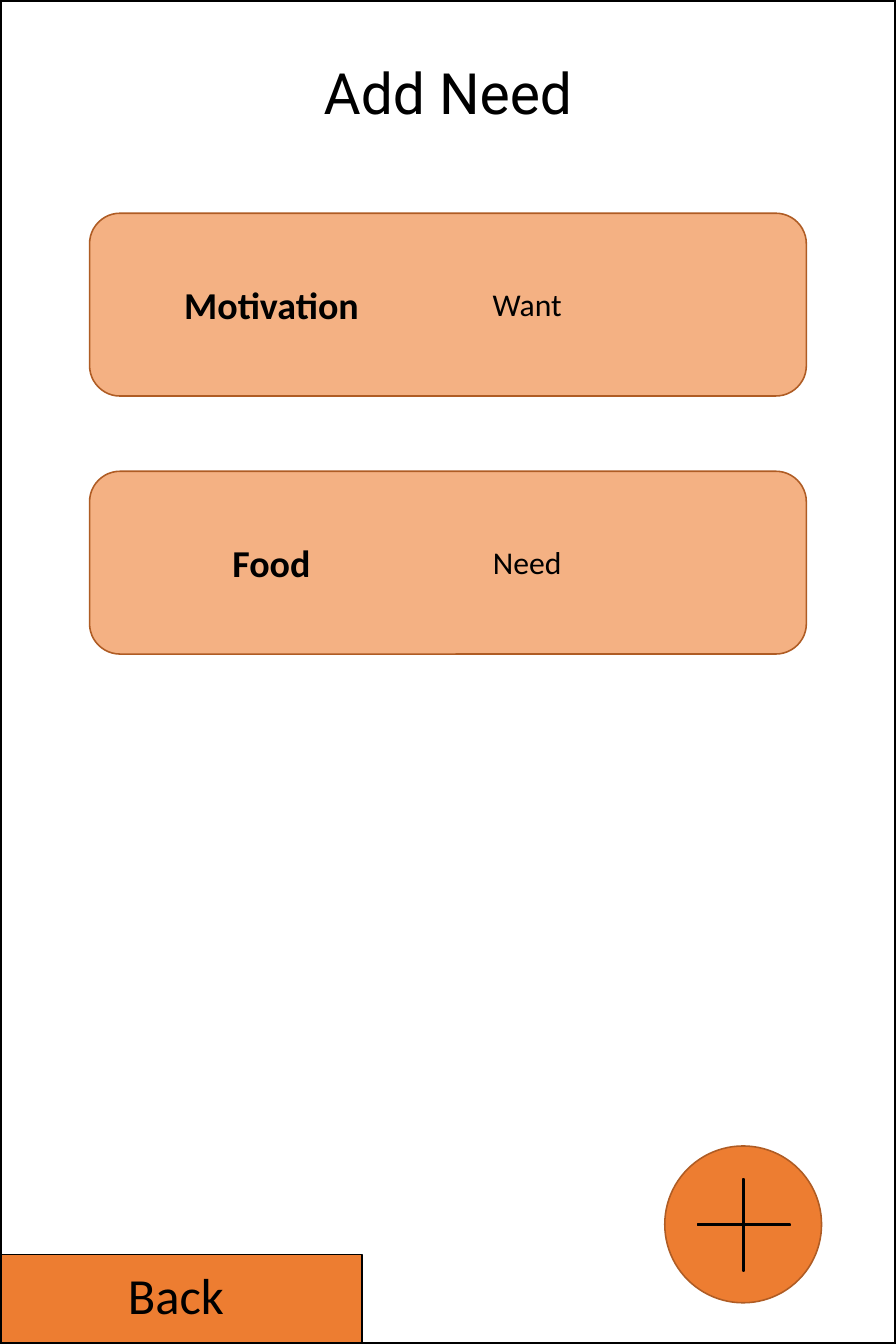
from pptx import Presentation
from pptx.dml.color import RGBColor
from pptx.enum.shapes import MSO_SHAPE
from pptx.enum.text import MSO_ANCHOR, MSO_AUTO_SIZE, PP_ALIGN
from pptx.util import Inches, Pt

WIDTH, HEIGHT = 7.87, 11.81
COLS, ROWS = 10, 15
COLORS = {
    "ink": "000000",
    "button": "ED7D31",
    "edge": "AF5C24",
    "card": "F4B183",
}


class Screen:
    """Style and current slide; every box is (column, row, columns, rows)."""

    def __init__(self, prs):
        self.s = prs.slides.add_slide(prs.slide_layouts[5])
        self.col = prs.slide_width / COLS
        self.row = prs.slide_height / ROWS

    def place(self, box):
        x, y, w, h = box
        return (round(x * self.col), round(y * self.row),
                round(w * self.col), round(h * self.row))

    def color(self, name):
        return RGBColor.from_string(COLORS[name])

    def add_text(self, tf, text, size, font="Calibri", bold=False):
        tf.word_wrap = True
        tf.auto_size = MSO_AUTO_SIZE.SHAPE_TO_FIT_TEXT
        p = tf.paragraphs[0]
        p.alignment = PP_ALIGN.CENTER
        r = p.add_run()
        r.text = text
        r.font.name = font
        r.font.size = Pt(size)
        r.font.bold = bold
        r.font.color.rgb = self.color("ink")
        return p

    def title(self, box, text):
        sp = self.s.shapes.title
        sp.left, sp.top, sp.width, sp.height = self.place(box)
        tf = sp.text_frame
        tf.vertical_anchor = MSO_ANCHOR.MIDDLE
        p = self.add_text(tf, text, 36, "Roboto")
        p.line_spacing = 0.9

    def label(self, box, text, size, bold=False):
        sp = self.s.shapes.add_textbox(*self.place(box))
        self.add_text(sp.text_frame, text, size, bold=bold)

    def shape(self, kind, box, fill=None, line="ink", weight=1):
        sp = self.s.shapes.add_shape(kind, *self.place(box))
        sp.shadow.inherit = False
        if fill:
            sp.fill.solid()
            sp.fill.fore_color.rgb = self.color(fill)
        else:
            sp.fill.background()
        sp.line.color.rgb = self.color(line)
        sp.line.width = Pt(weight)
        return sp

    def card(self, top, name, kind):
        self.shape(MSO_SHAPE.ROUNDED_RECTANGLE, (1, top, 8, 2.04), "card", "edge")
        self.label((1.56, top + 0.7, 2.94, 0.64), name, 24, bold=True)
        self.label((4.62, top + 0.74, 2.53, 0.56), kind, 20)


def main():
    prs = Presentation()
    prs.slide_width, prs.slide_height = Inches(WIDTH), Inches(HEIGHT)
    screen = Screen(prs)

    # Heading
    screen.title((0.69, 0.65, 8.62, 0.84), "Add Need")

    # Back button
    screen.shape(MSO_SHAPE.RECTANGLE, (0, 14, 4.04, 1), "button")
    screen.label((0.58, 14.04, 2.77, 0.81), "Back", 32)

    # Round add button
    screen.shape(MSO_SHAPE.OVAL, (7.42, 12.79, 1.75, 1.75), "button", "edge")
    plus = screen.shape(MSO_SHAPE.MATH_PLUS, (7.6, 12.97, 1.4, 1.4), "ink")
    plus.adjustments[0] = 0.01

    # Cards of needs
    for i, (name, kind) in enumerate([("Motivation", "Want"), ("Food", "Need")]):
        screen.card(2.38 + 2.88 * i, name, kind)

    # Screen frame
    screen.shape(MSO_SHAPE.RECTANGLE, (0, 0, COLS, ROWS), weight=3)

    prs.save("out.pptx")


if __name__ == "__main__":
    main()
